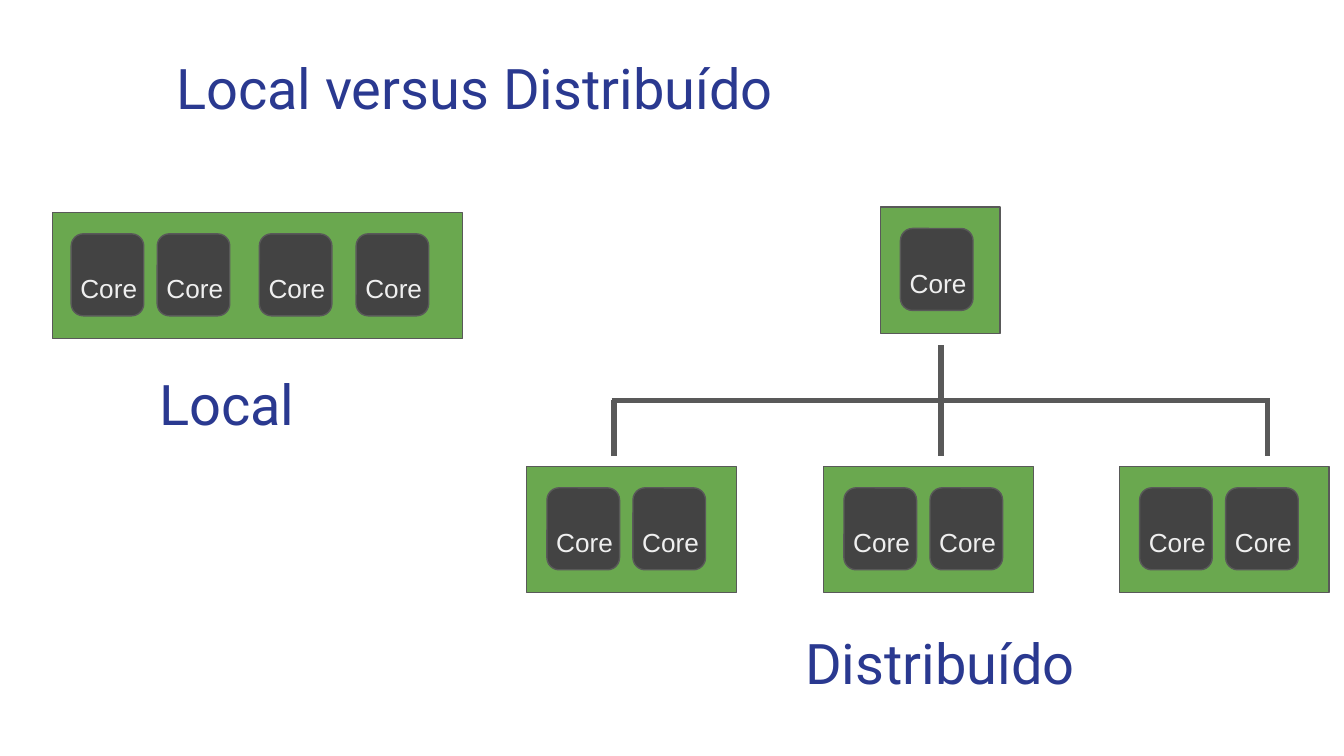
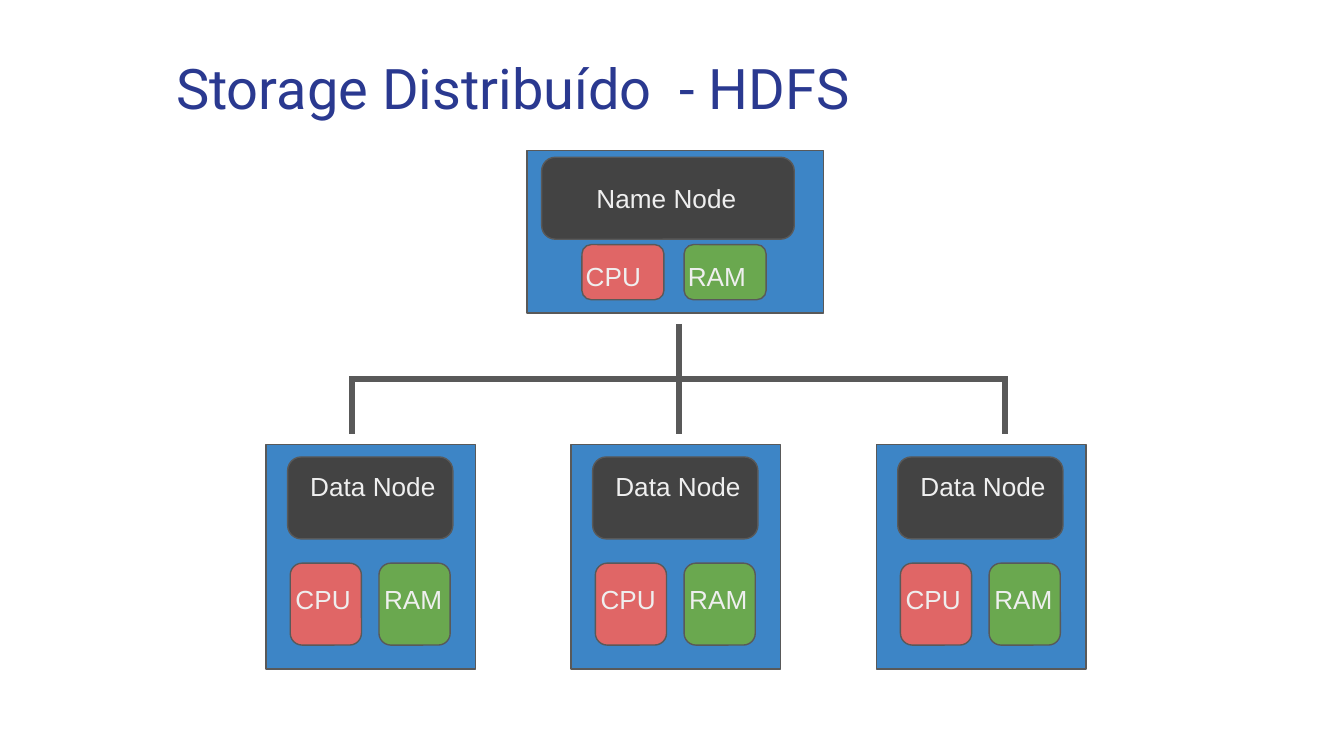
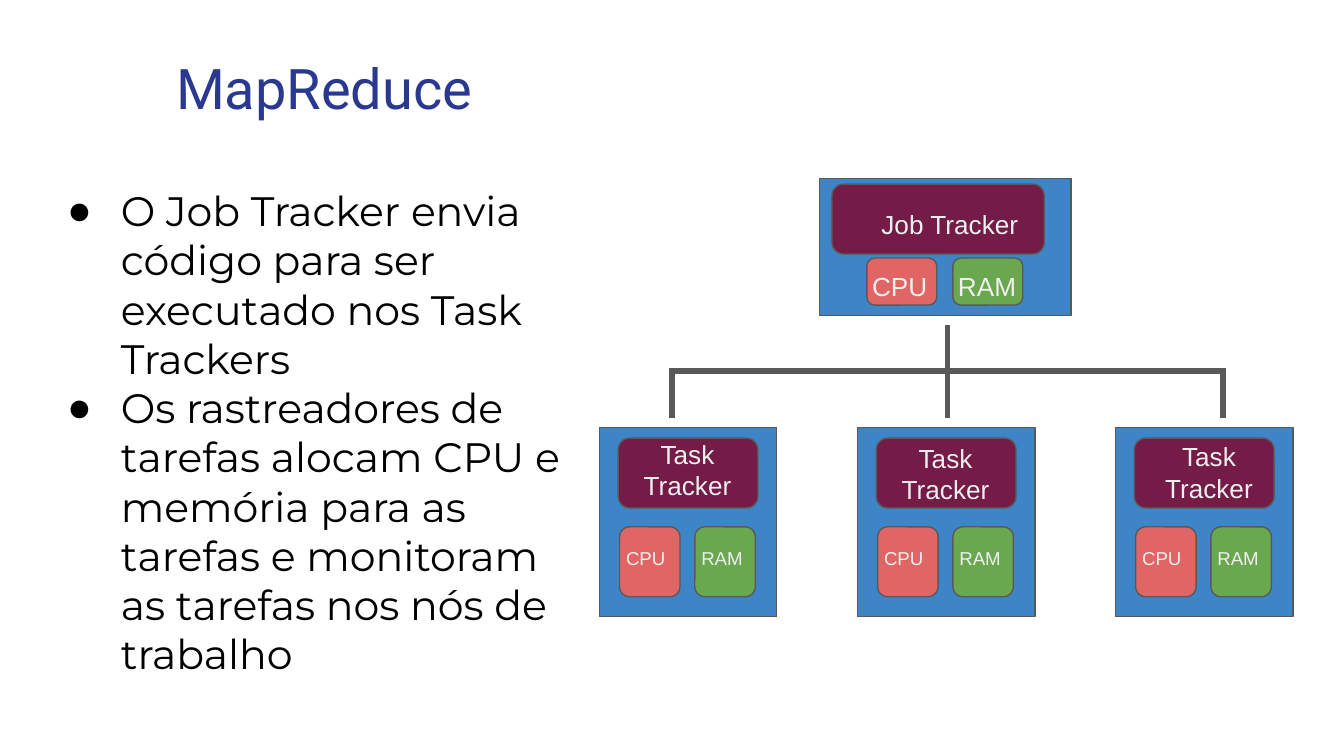
"""Build three slides on local and distributed computing, HDFS and MapReduce."""
import dataclasses
import typing

import lxml.etree
import pptx
import pptx.dml.color
import pptx.enum.shapes
import pptx.enum.text
import pptx.oxml.ns
import pptx.slide
import pptx.text.text
import pptx.util

SCALE = 9144
NAVY, BLACK, PALE = "2A3990", "000000", "EFEFEF"
EDGE, DARK, WINE = "595959", "434343", "741B47"
GREEN, BLUE, RED = "6AA84F", "3D85C6", "E06666"
RECT = pptx.enum.shapes.MSO_SHAPE.RECTANGLE
ROUND = pptx.enum.shapes.MSO_SHAPE.ROUNDED_RECTANGLE
LEFT, CENTER = pptx.enum.text.PP_ALIGN.LEFT, pptx.enum.text.PP_ALIGN.CENTER


@dataclasses.dataclass(frozen=True)
class Box:
    left: int
    top: int
    wide: int
    high: int

    def shift(self, base: "Box") -> "Box":
        return dataclasses.replace(self, left=self.left + base.left, top=self.top + base.top)


@dataclasses.dataclass(frozen=True)
class Font:
    name: str
    size: int
    color: str


@dataclasses.dataclass(frozen=True)
class Chip:
    text: str
    box: Box
    fill: str
    label: Box
    size: int = 14
    align: typing.Any = LEFT


@dataclasses.dataclass(frozen=True)
class Board:
    box: Box
    fill: str
    chips: list[Chip]


@dataclasses.dataclass(frozen=True)
class Tree:
    mid: int
    half: int
    top: int
    bus: int
    foot: int


HEAD = Font("Roboto", 30, NAVY)
BODY = Font("Montserrat", 22, BLACK)
PLAIN = "Arial"
TITLE = Box(121, 30, 932, 66)


def px(count: int) -> int:
    return pptx.util.Emu(count * SCALE)


def paint(color: str) -> pptx.dml.color.RGBColor:
    return pptx.dml.color.RGBColor.from_string(color)


def place(box: Box) -> tuple[int, ...]:
    return tuple(px(side) for side in dataclasses.astuple(box))


def style(frame: pptx.text.text.TextFrame, font: Font, align: typing.Any) -> None:
    frame.word_wrap = True
    frame.auto_size = pptx.enum.text.MSO_AUTO_SIZE.NONE
    frame.vertical_anchor = pptx.enum.text.MSO_ANCHOR.TOP
    frame.margin_left = frame.margin_right = px(10)
    frame.margin_top = frame.margin_bottom = px(10)
    for para in frame.paragraphs:
        para.alignment = align
        para.space_before = pptx.util.Pt(0)
        for run in para.runs:
            run.font.name = font.name
            run.font.size = pptx.util.Pt(font.size)
            run.font.color.rgb = paint(font.color)


def fill_in(holder: typing.Any, box: Box, text: str, font: Font) -> None:
    holder.left, holder.top, holder.width, holder.height = place(box)
    holder.text_frame.text = text
    style(holder.text_frame, font, LEFT)


def add_slide(deck: typing.Any, layout: int, title: str) -> pptx.slide.Slide:
    slide = deck.slides.add_slide(deck.slide_layouts[layout])
    fill_in(slide.shapes.title, TITLE, title, HEAD)
    return slide


def add_text(slide: pptx.slide.Slide, box: Box, text: str, font: Font, align: typing.Any) -> None:
    frame = slide.shapes.add_textbox(*place(box)).text_frame
    frame.text = text
    style(frame, font, align)


def add_list(slide: pptx.slide.Slide, box: Box, items: list[str]) -> None:
    holder = slide.placeholders[1]
    fill_in(holder, box, "\n".join(items), BODY)
    qn = pptx.oxml.ns.qn
    for para in holder.text_frame.paragraphs:
        props = para._p.get_or_add_pPr()
        props.set("marL", str(px(50)))
        props.set("indent", str(px(-40)))
        tint = lxml.etree.SubElement(props, qn("a:buClr"))
        lxml.etree.SubElement(tint, qn("a:srgbClr"), val=BLACK)
        lxml.etree.SubElement(props, qn("a:buFont"), typeface=PLAIN)
        lxml.etree.SubElement(props, qn("a:buChar"), char="●")


def add_block(slide: pptx.slide.Slide, kind: typing.Any, box: Box, fill: str) -> None:
    shape = slide.shapes.add_shape(kind, *place(box))
    shape.shadow.inherit = False
    shape.fill.solid()
    shape.fill.fore_color.rgb = paint(fill)
    shape.line.color.rgb = paint(EDGE)
    shape.line.width = pptx.util.Pt(0.75)


def add_board(slide: pptx.slide.Slide, board: Board) -> None:
    add_block(slide, RECT, board.box, board.fill)
    for chip in board.chips:
        spot = chip.box.shift(board.box)
        add_block(slide, ROUND, spot, chip.fill)
        font = Font(PLAIN, chip.size, PALE)
        add_text(slide, chip.label.shift(spot), chip.text, font, chip.align)


def add_line(slide: pptx.slide.Slide, *ends: int) -> None:
    kind = pptx.enum.shapes.MSO_CONNECTOR.STRAIGHT
    line = slide.shapes.add_connector(kind, *map(px, ends))
    line.line.color.rgb = paint(EDGE)
    line.line.width = pptx.util.Pt(3)
    lxml.etree.SubElement(line._element.spPr, pptx.oxml.ns.qn("a:effectLst"))


def add_tree(slide: pptx.slide.Slide, tree: Tree) -> None:
    reach = tree.half + 2
    add_line(slide, tree.mid, tree.top, tree.mid, tree.bus)
    add_line(slide, tree.mid - reach, tree.bus, tree.mid + reach, tree.bus)
    for left in (tree.mid - tree.half, tree.mid, tree.mid + tree.half):
        add_line(slide, left, tree.bus, left, tree.foot)


def cores(*lefts: int) -> list[Chip]:
    label = Box(-3, 19, 77, 23)
    return [Chip("Core", Box(left, 16, 54, 61), DARK, label) for left in lefts]


def pair(first: Box, step: int, label: Box, size: int = 14) -> list[Chip]:
    return [
        Chip("CPU", first, RED, label, size),
        Chip("RAM", first.shift(Box(step, 0, 0, 0)), GREEN, label, size),
    ]


def draw_local(deck: typing.Any) -> None:
    slide = add_slide(deck, 5, "Local versus Distribuído")
    add_text(slide, Box(96, 265, 156, 66), "Local ", HEAD, CENTER)
    add_text(slide, Box(573, 458, 253, 66), "Distribuído", HEAD, CENTER)
    add_tree(slide, Tree(700, 243, 257, 298, 339))
    add_board(slide, Board(Box(39, 158, 305, 94), GREEN, cores(14, 78, 154, 226)))
    for left in (392, 613, 833):
        add_board(slide, Board(Box(left, 347, 156, 94), GREEN, cores(15, 79)))
    add_board(slide, Board(Box(655, 154, 89, 94), GREEN, cores(15)))


def draw_store(deck: typing.Any) -> None:
    slide = add_slide(deck, 5, "Storage Distribuído  - HDFS")
    add_tree(slide, Tree(505, 243, 241, 282, 323))
    name = Chip("Name Node", Box(11, 5, 188, 61), DARK, Box(31, 9, 166, 23))
    units = pair(Box(41, 70, 61, 41), 76, Box(-7, 4, 76, 16))
    add_board(slide, Board(Box(392, 112, 221, 121), BLUE, [name, *units]))
    data = Chip("Data Node", Box(16, 9, 123, 61), DARK, Box(7, 0, 152, 23))
    units = pair(Box(18, 88, 53, 61), 66, Box(-6, 5, 66, 23))
    for col in range(3):
        add_board(slide, Board(Box(198 + 227 * col, 331, 156, 167), BLUE, [data, *units]))


def draw_map(deck: typing.Any) -> None:
    slide = add_slide(deck, 1, "MapReduce")
    add_list(slide, Box(30, 128, 402, 355), [
        "O Job Tracker envia código para ser executado nos Task Trackers",
        "Os rastreadores de tarefas alocam CPU e memória para as tarefas "
        "e monitoram as tarefas nos nós de trabalho",
    ])
    add_tree(slide, Tree(705, 205, 242, 276, 311))
    job = Chip("Job Tracker", Box(9, 4, 158, 52), WINE, Box(27, 8, 140, 20))
    units = pair(Box(35, 59, 52, 35), 64, Box(-6, 3, 64, 13))
    add_board(slide, Board(Box(610, 133, 187, 102), BLUE, [job, *units]))
    units = pair(Box(15, 74, 45, 52), 56, Box(-5, 5, 56, 20), 10)
    for col, (left, top) in enumerate([(-13, -10), (-13, -7), (-9, -8)]):
        label = Box(left, top, 129, 20)
        task = Chip("Task Tracker", Box(14, 8, 104, 52), WINE, label, align=CENTER)
        add_board(slide, Board(Box(446 + 192 * col, 318, 132, 141), BLUE, [task, *units]))


def main() -> None:
    deck = pptx.Presentation()
    deck.slide_width = px(1000)
    deck.slide_height = pptx.util.Emu(deck.slide_width * 9 // 16)
    draw_local(deck)
    draw_store(deck)
    draw_map(deck)
    deck.save("out.pptx")


if __name__ == "__main__":
    main()
